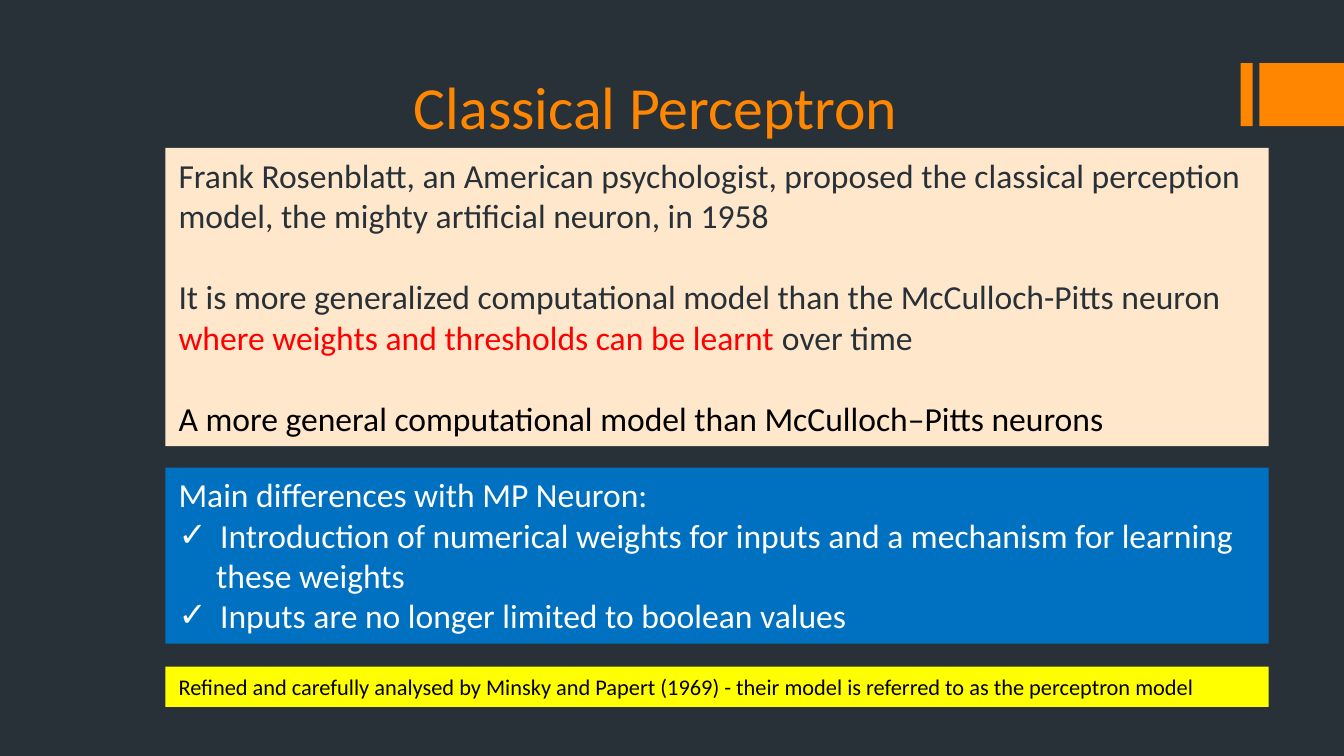
from lxml import etree
from pptx import Presentation
from pptx.dml.color import RGBColor
from pptx.enum.shapes import MSO_SHAPE
from pptx.enum.text import MSO_ANCHOR, PP_ALIGN
from pptx.oxml.ns import qn
from pptx.util import Inches, Pt

RECT = MSO_SHAPE.RECTANGLE
TOP, BOTTOM = MSO_ANCHOR.TOP, MSO_ANCHOR.BOTTOM
LEFT, CENTER = PP_ALIGN.LEFT, PP_ALIGN.CENTER

FONT = "Calibri"
COLORS = {
    "dark": "283138", "orange": "FF8600", "peach": "FFE7CC", "red": "FF0000",
    "black": "000000", "blue": "0070C0", "white": "FFFFFF", "yellow": "FFFF00",
}
WIDTH = 10
HEIGHT = WIDTH * 9 / 16

TITLE = "Classical Perceptron"
ACCENTS = [(9.23, 0.09), (9.37, 0.63)]  # left, width

# Each paragraph: (style, [(text, colour), ...])
PANELS = [
    {"top": 1.1, "height": 2.22, "fill": "peach", "size": 18, "gap": 22, "paras": [
        ("plain", [("Frank Rosenblatt, an American psychologist, proposed the classical "
                    "perception model, the mighty artificial neuron, in 1958", "dark")]),
        ("plain", [("It is more generalized computational model than the "
                    "McCulloch-Pitts neuron ", "dark"),
                   ("where weights and thresholds can be learnt", "red"),
                   (" over time", "dark")]),
        ("plain", [("A more general computational model than McCulloch–Pitts neurons",
                    "black")]),
    ]},
    {"top": 3.48, "height": 1.31, "fill": "blue", "size": 18, "gap": 0, "paras": [
        ("plain", [("Main differences with MP Neuron:", "white")]),
        ("check", [("Introduction of numerical weights for inputs and a mechanism "
                    "for learning", "white")]),
        ("inset", [("these weights", "white")]),
        ("check", [("Inputs are no longer limited to boolean values", "white")]),
    ]},
    {"top": 4.96, "height": 0.3, "fill": "yellow", "size": 12, "gap": 0, "paras": [
        ("plain", [("Refined and carefully analysed by Minsky and Papert (1969) - their "
                    "model is referred to as the perceptron model", "black")]),
    ]},
]
PANEL_LEFT, PANEL_WIDTH = 1.23, 8.21
INDENTS = {"plain": (0, 0), "check": (0.31, -0.31), "inset": (0.28, 0)}


def color(name):
    return RGBColor.from_string(COLORS[name])


def add_rect(slide, left, top, width, height, fill):
    box = slide.shapes.add_shape(
        RECT, Inches(left), Inches(top), Inches(width), Inches(height))
    box.shadow.inherit = False
    box.fill.solid()
    box.fill.fore_color.rgb = color(fill)
    box.line.fill.background()
    return box


def add_run(para, text, size, ink):
    run = para.add_run()
    run.text = text
    run.font.name = FONT
    run.font.size = Pt(size)
    run.font.color.rgb = color(ink)


def set_style(para, style):
    """Set the indents, and a check mark bullet where the style asks for it."""
    margin, first = INDENTS[style]
    props = para._p.get_or_add_pPr()
    props.set("marL", str(Inches(margin)))
    props.set("indent", str(Inches(first)))
    if style == "check":
        etree.SubElement(props, qn("a:buFont")).set("typeface", FONT)
        etree.SubElement(props, qn("a:buChar")).set("char", "✓")


def add_panel(slide, panel):
    box = add_rect(slide, PANEL_LEFT, panel["top"], PANEL_WIDTH,
                   panel["height"], panel["fill"])
    frame = box.text_frame
    frame.word_wrap = True
    frame.vertical_anchor = TOP
    for i, (style, runs) in enumerate(panel["paras"]):
        para = frame.add_paragraph() if i else frame.paragraphs[0]
        para.alignment = LEFT
        if i:
            para.space_before = Pt(panel["gap"])
        set_style(para, style)
        for text, ink in runs:
            add_run(para, text, panel["size"], ink)


def add_title(slide):
    box = slide.shapes.add_textbox(
        Inches(0.67), Inches(0.15), Inches(8.42), Inches(0.95))
    frame = box.text_frame
    frame.word_wrap = True
    frame.vertical_anchor = BOTTOM
    para = frame.paragraphs[0]
    para.alignment = CENTER
    add_run(para, TITLE, 32, "orange")


def main():
    prs = Presentation()
    prs.slide_width, prs.slide_height = Inches(WIDTH), Inches(HEIGHT)
    slide = prs.slides.add_slide(prs.slide_layouts[6])
    slide.background.fill.solid()
    slide.background.fill.fore_color.rgb = color("dark")
    for left, width in ACCENTS:
        add_rect(slide, left, 0.47, width, 0.47, "orange")
    add_title(slide)
    for panel in PANELS:
        add_panel(slide, panel)
    prs.save("out.pptx")


if __name__ == "__main__":
    main()
